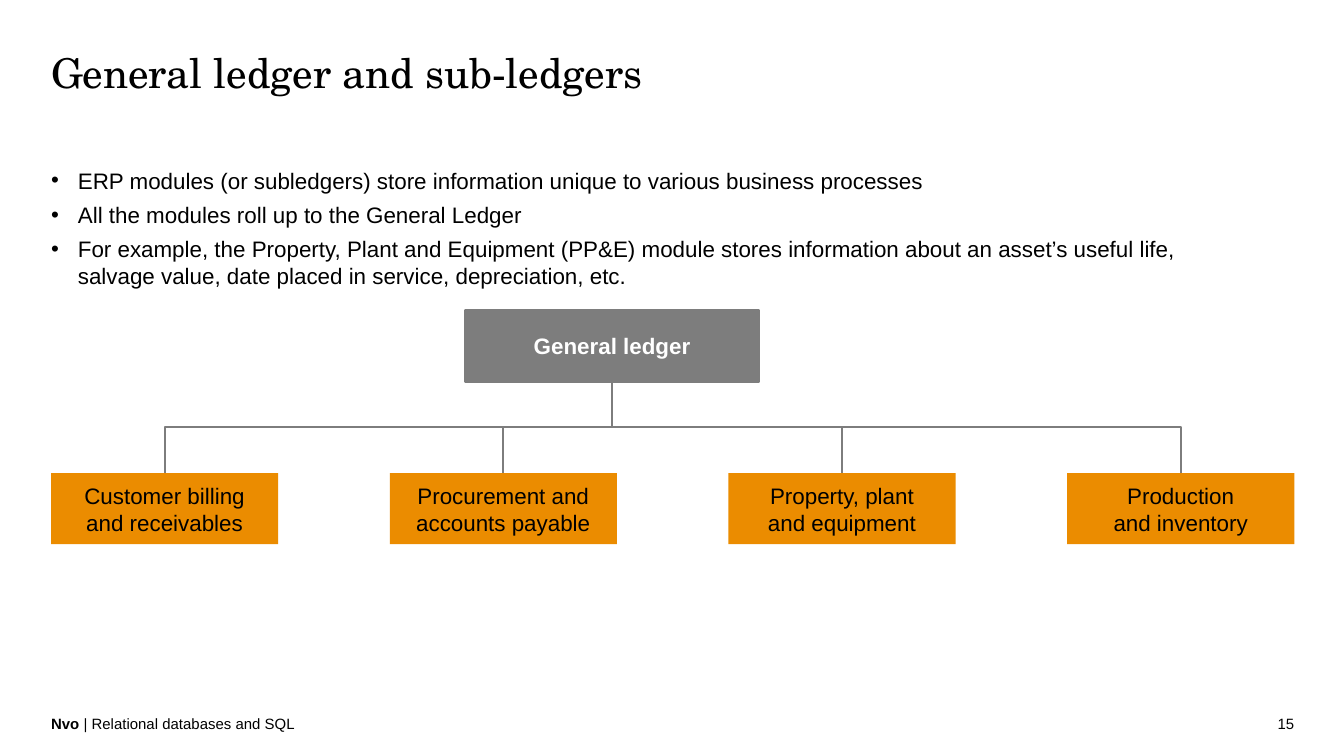
from lxml import etree
from pptx import Presentation
from pptx.dml.color import RGBColor
from pptx.enum.shapes import MSO_CONNECTOR, MSO_SHAPE
from pptx.enum.text import MSO_ANCHOR, PP_ALIGN
from pptx.oxml.ns import qn
from pptx.util import Inches, Pt

RECTANGLE = MSO_SHAPE.RECTANGLE
PROCESS = MSO_SHAPE.FLOWCHART_PREDEFINED_PROCESS
ELBOW = MSO_CONNECTOR.ELBOW
LEFT, CENTER, RIGHT = PP_ALIGN.LEFT, PP_ALIGN.CENTER, PP_ALIGN.RIGHT
MIDDLE = MSO_ANCHOR.MIDDLE
TOP_SITE, BOTTOM_SITE = 0, 2

COLORS = {"text": "000000", "light": "FFFFFF", "module": "EB8C00", "ledger": "7D7D7D"}
BODY_FONT, TITLE_FONT = "Arial", "TeX Gyre Schola"
MARGIN, CONTENT_WIDTH = 0.38, 9.25
HARD_SPACE = chr(160)

POINTS = [
    "ERP modules (or subledgers) store information unique to various business processes",
    "All the modules roll up to the General Ledger",
    "For example, the Property, Plant and Equipment (PP&E) module stores information "
    "about an asset’s useful life, salvage value, date placed in service, depreciation, etc.",
]
MODULES = [
    "Customer billing and receivables",
    "Procurement and accounts payable",
    f"Property, plant and{HARD_SPACE}equipment",
    "Production\vand inventory",
]


def rgb(name):
    return RGBColor.from_string(COLORS[name])


def style_font(font, size, name=BODY_FONT, color="text", bold=False):
    for key, value in {"size": Pt(size), "name": name, "bold": bold}.items():
        setattr(font, key, value)
    font.color.rgb = rgb(color)


def add_text_frame(slide, box):
    """Add a wrapping text box without insets and return its text frame."""
    frame = slide.shapes.add_textbox(*map(Inches, box)).text_frame
    frame.word_wrap = True
    for side in ("left", "top", "right", "bottom"):
        setattr(frame, f"margin_{side}", 0)
    return frame


def add_line(slide, box, runs, size, align=LEFT, font=BODY_FONT):
    """Add one paragraph made of (text, bold) runs."""
    paragraph = add_text_frame(slide, box).paragraphs[0]
    paragraph.alignment = align
    for text, bold in runs:
        run = paragraph.add_run()
        run.text = text
        style_font(run.font, size, font, bold=bold)


def add_bullets(slide, box, points):
    frame = add_text_frame(slide, box)
    for index, point in enumerate(points):
        paragraph = frame.add_paragraph() if index else frame.paragraphs[0]
        if index:
            paragraph.space_before = Pt(4)
        properties = paragraph._p.get_or_add_pPr()
        properties.set("marL", str(Inches(0.2)))
        properties.set("indent", str(-Inches(0.2)))
        etree.SubElement(properties, qn("a:buFont")).set("typeface", BODY_FONT)
        etree.SubElement(properties, qn("a:buChar")).set("char", "•")
        run = paragraph.add_run()
        run.text = point
        style_font(run.font, 12)


def add_node(slide, box, text, kind, fill, color="text", bold=False):
    node = slide.shapes.add_shape(kind, *map(Inches, box))
    node.shadow.inherit = False
    node.fill.solid()
    node.fill.fore_color.rgb = rgb(fill)
    node.line.fill.background()
    frame = node.text_frame
    frame.word_wrap = True
    frame.vertical_anchor = MIDDLE
    paragraph = frame.paragraphs[0]
    paragraph.text = text
    paragraph.alignment = CENTER
    for run in paragraph.runs:
        style_font(run.font, 12, color=color, bold=bold)
    style_font(paragraph.font, 12, color=color, bold=bold)
    return node


def connect_down(slide, parent, child):
    """Join parent bottom to child top with an elbow turned to leave vertically."""
    connector = slide.shapes.add_connector(ELBOW, 0, 0, 0, 0)
    connector.begin_connect(parent, BOTTOM_SITE)
    connector.end_connect(child, TOP_SITE)
    start_x, end_x = connector.begin_x, connector.end_x
    start_y, end_y = connector.begin_y, connector.end_y
    drop, run = end_y - start_y, abs(end_x - start_x)
    frame = {
        "left": (start_x + end_x - drop) // 2,
        "top": (start_y + end_y - run) // 2,
        "width": drop,
        "height": run,
    }
    for key, value in frame.items():
        setattr(connector, key, value)
    to_right = end_x > start_x
    properties = connector._element.spPr
    transform = properties.find(qn("a:xfrm"))
    transform.set("rot", str((270 if to_right else 90) * 60000))
    transform.set("flipH", "1" if to_right else "0")
    connector.line.color.rgb = rgb("ledger")
    connector.line.width = Pt(1)
    etree.SubElement(properties, qn("a:effectLst"))


def add_ledger_tree(slide, box):
    left, top, width, height = box
    node_height, module_width = 0.53, 1.69
    ledger = add_node(slide, (left + 3.09, top, 2.17, node_height), "General ledger",
                      PROCESS, "ledger", "light", True)
    ledger.line.color.rgb = rgb("ledger")
    ledger.line.width = Pt(2)
    step = (width - module_width) / (len(MODULES) - 1)
    module_top = top + height - node_height
    for index, text in enumerate(MODULES):
        module_box = (left + index * step, module_top, module_width, node_height)
        module = add_node(slide, module_box, text, RECTANGLE, "module")
        connect_down(slide, ledger, module)


def add_footer(slide, box):
    left, top, width, height = box
    add_line(slide, (left, top, 3.38, height),
             [("Nvo", True), (" | Relational databases and SQL", False)], 8)
    add_line(slide, (left + width - 2.25, top, 2.25, height), [("15", False)], 8, RIGHT)


def main():
    deck = Presentation()
    deck.slide_width = Inches(10)
    deck.slide_height = deck.slide_width * 9 // 16
    slide = deck.slides.add_slide(deck.slide_layouts[6])
    add_line(slide, (MARGIN, 0.35, CONTENT_WIDTH, 0.41),
             [("General ledger and sub-ledgers", False)], 22, font=TITLE_FONT)
    add_bullets(slide, (MARGIN, 1.24, 8.83, 0.92), POINTS)
    add_ledger_tree(slide, (MARGIN, 2.31, CONTENT_WIDTH, 1.74))
    add_footer(slide, (MARGIN, 5.32, CONTENT_WIDTH, 0.13))
    deck.save("out.pptx")


if __name__ == "__main__":
    main()
